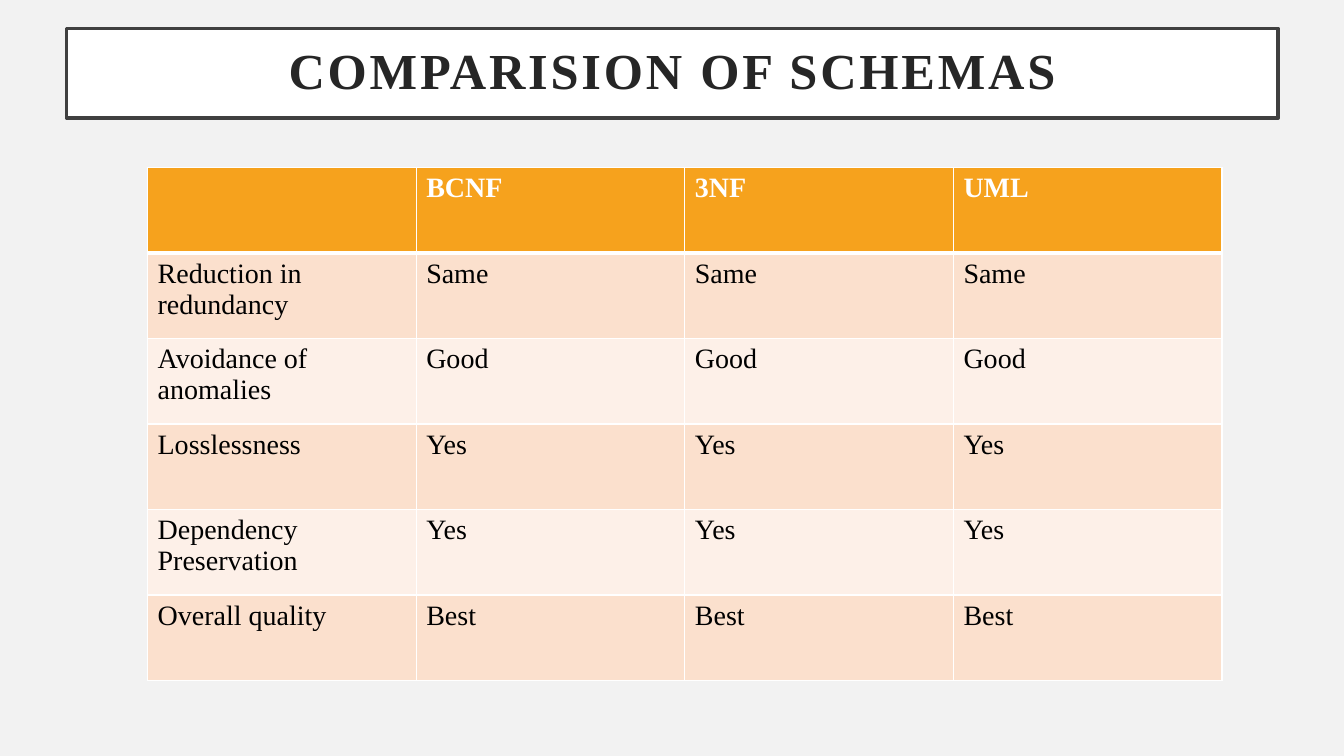
from pptx import Presentation
from pptx.dml.color import RGBColor as RGB
from pptx.enum.shapes import MSO_SHAPE as Shape
from pptx.enum.text import MSO_ANCHOR as Anchor, PP_ALIGN as Align
from pptx.oxml.ns import qn
from pptx.util import Pt
from lxml.etree import SubElement as Sub

FONT = "Times New Roman"
COLORS = {
    "back": "F2F2F2", "white": "FFFFFF", "frame": "404040", "title": "262626",
    "head": "F6A21D", "odd": "FBE0CD", "even": "FDF0E8", "text": "000000",
}
ROWS = [
    ("", "BCNF", "3NF", "UML"),
    ("Reduction in redundancy", "Same", "Same", "Same"),
    ("Avoidance of anomalies", "Good", "Good", "Good"),
    ("Losslessness", "Yes", "Yes", "Yes"),
    ("Dependency Preservation", "Yes", "Yes", "Yes"),
    ("Overall quality", "Best", "Best", "Best"),
]


def color(name):
    return RGB.from_string(COLORS[name])


def assign(obj, values):
    for key, value in values.items():
        setattr(obj, key, value)


class Board:
    def __init__(self, slide):
        self.slide = slide

    def paint(self, fill, name):
        fill.solid()
        fill.fore_color.rgb = color(name)

    def label(self, frame, text, size, tint, bold):
        run = frame.paragraphs[0].add_run()
        run.text = text
        assign(run.font, {"name": FONT, "size": Pt(size), "bold": bold})
        run.font.color.rgb = color(tint)
        return run

    def title(self, text, left, top, width, height):
        box = self.slide.shapes.add_shape(
            Shape.RECTANGLE, Pt(left), Pt(top), Pt(width), Pt(height))
        box.shadow.inherit = False
        self.paint(box.fill, "white")
        box.line.color.rgb = color("frame")
        box.line.width = Pt(2.5)
        frame = box.text_frame
        pad = Pt(14.4)
        assign(frame, {
            "word_wrap": True, "vertical_anchor": Anchor.MIDDLE,
            "margin_left": pad, "margin_right": pad,
            "margin_top": pad, "margin_bottom": pad})
        assign(frame.paragraphs[0], {"alignment": Align.CENTER, "line_spacing": 0.9})
        run = self.label(frame, text, 36, "title", True)
        run.font._element.set("spc", "200")

    def border(self, cell, widths):
        props = cell._tc.get_or_add_tcPr()
        for side, width in widths.items():
            line = Sub(props, qn(f"a:ln{side}"), w=str(Pt(width)))
            fill = Sub(line, qn("a:solidFill"))
            Sub(fill, qn("a:srgbClr"), val=COLORS["white"])

    def table(self, rows, left, top, wide, high):
        count, cols = len(rows), len(rows[0])
        grid = self.slide.shapes.add_table(
            count, cols, Pt(left), Pt(top), Pt(wide * cols), Pt(high * count)).table
        for col in grid.columns:
            col.width = Pt(wide)
        for r, row in enumerate(rows):
            grid.rows[r].height = Pt(high)
            head = r == 0
            band = "head" if head else "odd" if r % 2 else "even"
            # The rule under the header is heavier than the others
            widths = {"L": 1, "R": 1, "T": 3 if r == 1 else 1, "B": 3 if head else 1}
            for c, text in enumerate(row):
                cell = grid.cell(r, c)
                self.border(cell, widths)
                self.paint(cell.fill, band)
                if text:
                    self.label(cell.text_frame, text, 20,
                               "white" if head else "text", head)


def main():
    deck = Presentation()
    assign(deck, {"slide_width": Pt(960), "slide_height": Pt(540)})
    slide = deck.slides.add_slide(deck.slide_layouts[6])
    board = Board(slide)
    board.paint(slide.background.fill, "back")

    # Title
    board.title("COMPARISION OF SCHEMAS", 47.5, 20.3, 865.5, 64)

    # Comparison table
    board.table(ROWS, 105.4, 119.6, 191.9, 61.1)

    deck.save("out.pptx")


if __name__ == "__main__":
    main()
